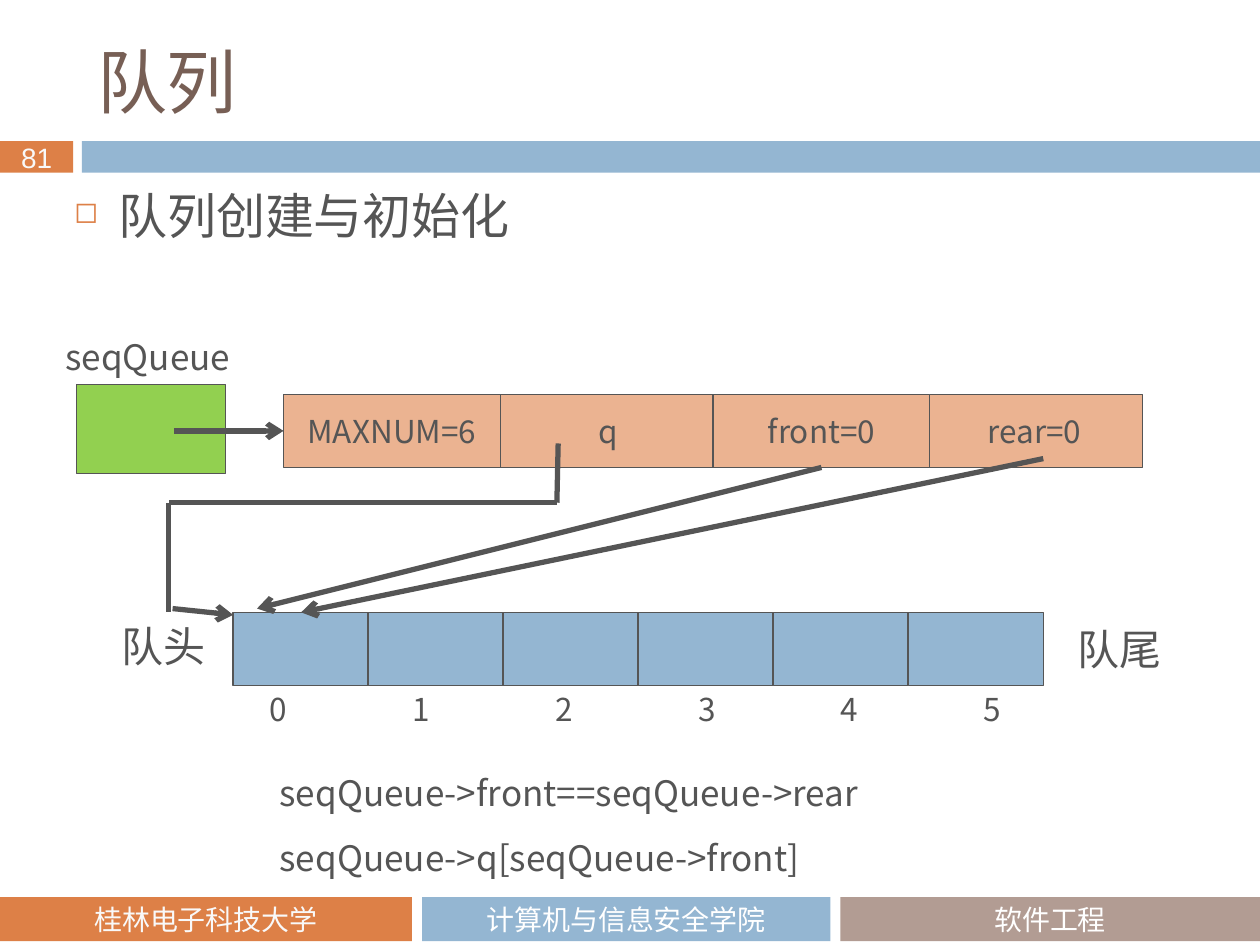
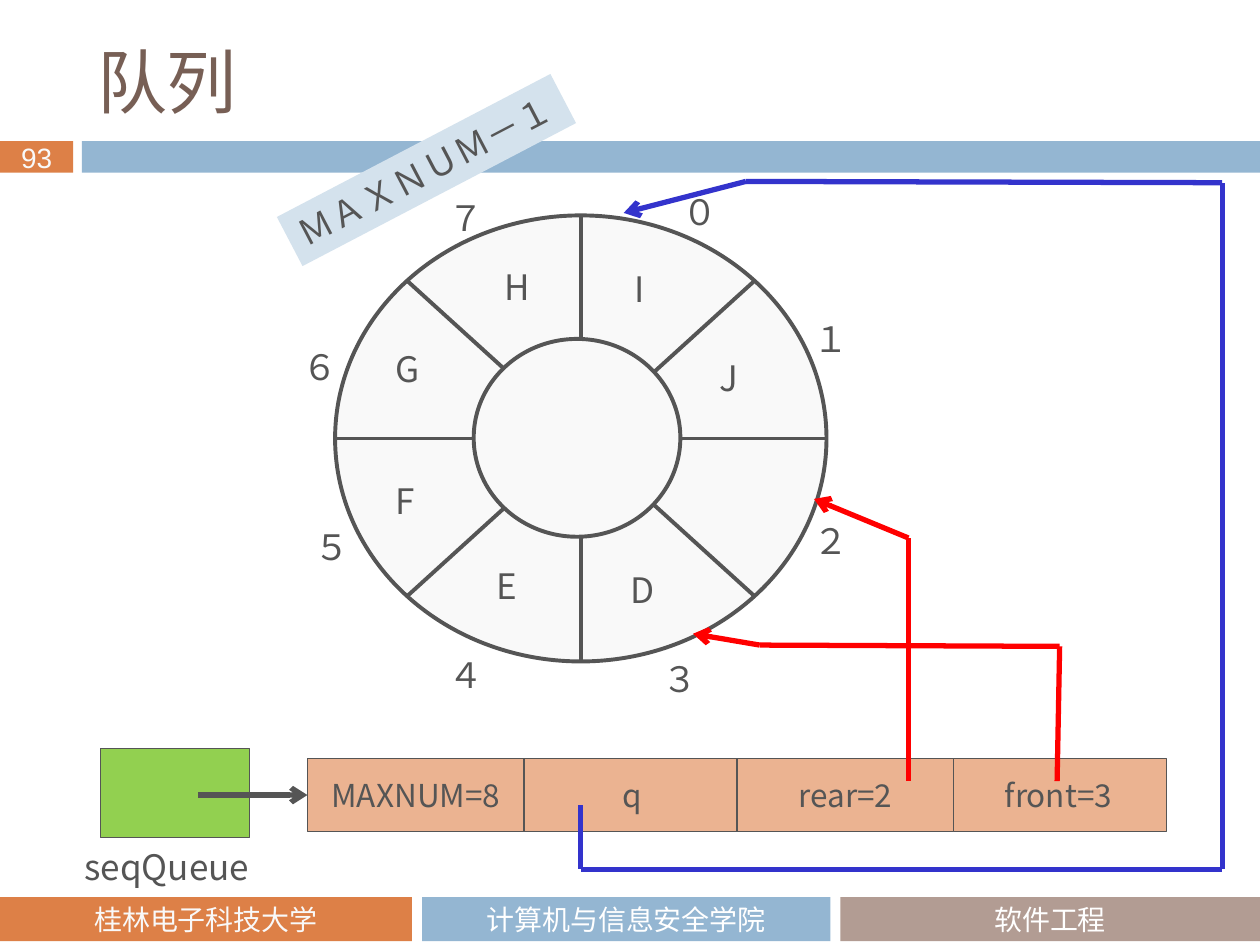
import itertools
import math

import pptx
import pptx.dml.color
import pptx.enum.shapes
import pptx.enum.text
import pptx.oxml.ns
import pptx.util
from lxml import etree

Inches = pptx.util.Inches
Pt = pptx.util.Pt
qn = pptx.oxml.ns.qn
RGB = pptx.dml.color.RGBColor.from_string
SHAPE = pptx.enum.shapes.MSO_SHAPE
ALIGN = pptx.enum.text.PP_ALIGN
ANCHOR = pptx.enum.text.MSO_ANCHOR

COLORS = {
    "text": "555555", "title": "775F55", "orange": "DD8047", "blue": "94B6D2",
    "brown": "B29C93", "white": "FFFFFF", "off_white": "F9F9F9", "peach": "EBB391",
    "green": "92D050", "pale_blue": "D4E2ED", "base_path": "3333CC", "index_path": "FF0000",
}
CJK = "Noto Sans CJK SC"


def add_text(slide, text, at=None, holder=None, kind=None, fill=None, border=None, size=18,
             color="text", font=CJK, east_asian=CJK, align=ALIGN.LEFT, anchor=ANCHOR.TOP,
             wrap=True, spaced=False, bullet=None):
    """Put text, one paragraph per line, in a holder, a preset shape or a text box."""
    if holder is None:
        place = [Inches(value) for value in at]
        if kind is None:
            holder = slide.shapes.add_textbox(*place)
        else:
            holder = slide.shapes.add_shape(kind, *place)
            holder.shadow.inherit = False
            holder.fill.solid()
            holder.fill.fore_color.rgb = RGB(COLORS[fill])
            if border:
                holder.line.color.rgb = RGB(COLORS["text"])
                holder.line.width = Pt(border)
            else:
                holder.line.fill.background()
    frame = holder.text_frame
    frame.text = text
    frame.word_wrap = wrap
    frame.vertical_anchor = anchor
    for number, paragraph in enumerate(frame.paragraphs):
        paragraph.alignment = align
        if spaced:
            paragraph.line_spacing = Pt(30)
            if number:
                paragraph.space_before = Pt(7)
        if bullet:
            properties = paragraph._p.get_or_add_pPr()
            properties.set("marL", str(Inches(0.35)))
            properties.set("indent", str(Inches(-0.35)))
            bullet_color = etree.SubElement(properties, qn("a:buClr"))
            etree.SubElement(bullet_color, qn("a:srgbClr"), val=COLORS["orange"])
            etree.SubElement(properties, qn("a:buSzPct"), val="60000")
            etree.SubElement(properties, qn("a:buChar"), char=bullet)
        for run in paragraph.runs:
            run.font.size = Pt(size)
            run.font.name = font
            run.font.color.rgb = RGB(COLORS[color])
            etree.SubElement(run._r.get_or_add_rPr(), qn("a:ea"), typeface=east_asian)
    return holder


def add_path(slide, points, color="text", width=3, arrow=True):
    """Join the points with straight connectors and return the last one."""
    for start, end in itertools.pairwise(points):
        segment = slide.shapes.add_connector(
            pptx.enum.shapes.MSO_CONNECTOR.STRAIGHT,
            *[Inches(value) for value in (*start, *end)])
        segment.line.color.rgb = RGB(COLORS[color])
        segment.line.width = Pt(width)
        etree.SubElement(segment._element.spPr, qn("a:effectLst"))
    if arrow:
        etree.SubElement(segment.line._get_or_add_ln(), qn("a:tailEnd"), type="arrow")
    return segment


deck = pptx.Presentation()
deck.slide_width, deck.slide_height = Inches(10), Inches(7.5)
centred = {"align": ALIGN.CENTER, "anchor": ANCHOR.MIDDLE}
footers = [
    (0, 3.27, "orange", "off_white", "桂林电子科技大学"),
    (3.35, 3.24, "blue", "white", "计算机与信息安全学院"),
    (6.67, 3.33, "brown", "white", "软件工程"),
]

# Parts both slides share: title, bands, footers and the queue record
RECORD_WIDTH, RECORD_HEIGHT = 1.72, 0.58
pages = [
    ("81", (2.25, 3.13), (0.42, 2.53), ["MAXNUM=6", "q", "front=0", "rear=0"]),
    ("93", (2.44, 6.02), (0.57, 6.58), ["MAXNUM=8", "q", "rear=2", "front=3"]),
]
slides, records = [], []
for page_number, (left, top), pointer_name_at, field_names in pages:
    slide = deck.slides.add_slide(deck.slide_layouts[5])
    slides.append(slide)
    title = slide.shapes.title
    title.left, title.top, title.width, title.height = [
        Inches(value) for value in (0.67, 0.25, 8.92, 0.78)]
    add_text(slide, "队列", holder=title, size=40, color="title", font="Noto Sans CJK JP",
             east_asian="Noto Sans CJK JP", anchor=ANCHOR.MIDDLE)
    title.text_frame.auto_size = pptx.enum.text.MSO_AUTO_SIZE.NONE

    add_text(slide, page_number, (0, 1.12, 0.58, 0.25), kind=SHAPE.RECTANGLE, fill="orange",
             size=16, color="off_white", font="Arial", wrap=False, **centred)
    add_text(slide, "", (0.65, 1.12, 9.35, 0.25), kind=SHAPE.RECTANGLE, fill="blue")
    for footer_left, footer_width, fill, color, name in footers:
        add_text(slide, name, (footer_left, 7.12, footer_width, 0.35), kind=SHAPE.RECTANGLE,
                 fill=fill, size=16, color=color, font="Calibri", **centred)

    record = {}
    for column in (0, 1, 3, 2):
        field_left = left + (0, 1.72, 3.41, 5.1)[column]
        record[field_names[column]] = add_text(
            slide, field_names[column], (field_left, top, RECORD_WIDTH, RECORD_HEIGHT),
            kind=SHAPE.RECTANGLE, fill="peach", border=0.75, **centred)
    records.append(record)
    add_text(slide, "", (left - 1.64, top - 0.08, 1.18, 0.71), kind=SHAPE.RECTANGLE,
             fill="green", border=0.75)
    add_text(slide, "seqQueue", (*pointer_name_at, 1.57, 0.52), size=20, spaced=True)
    middle = top + RECORD_HEIGHT / 2
    pointer = add_path(slide, [(left - 0.87, middle), (left, middle)])
    pointer.end_connect(record[field_names[0]], 1)

array_slide, ring_slide = slides

# Queue creation: the array and the pointers into it
add_text(array_slide, "队列创建与初始化", (0.49, 1.47, 8.92, 0.69), size=28, spaced=True,
         bullet="◻")
add_text(array_slide, "队头", (0.87, 4.86, 0.94, 0.52), size=24, spaced=True)
add_text(array_slide, "队尾", (8.45, 4.88, 1.24, 0.52), size=24, spaced=True)
cell_width = 6.43 / 6
for index in range(6):
    add_text(array_slide, "", (1.85 + index * cell_width, 4.86, cell_width, 0.58),
             kind=SHAPE.RECTANGLE, fill="blue", border=0.75)
    add_text(array_slide, str(index), (2.04 + index * 1.134, 5.43, 0.36, 0.4), wrap=False)
add_path(array_slide, [(4.43, 3.52), (4.42, 3.99), (1.34, 3.99), (1.34, 4.86)], arrow=False)
add_path(array_slide, [(1.37, 4.83), (1.85, 4.88)])
front_pointer = add_path(array_slide, [(6.52, 3.71), (2.04, 4.83)])
front_pointer.begin_connect(records[0]["front=0"], 2)
add_path(array_slide, [(8.28, 3.64), (2.39, 4.86)])
add_text(array_slide, "seqQueue->front==seqQueue->rear\nseqQueue->q[seqQueue->front]",
         (2.12, 5.99, 5.9, 1.17), size=20, spaced=True)

# Circular queue: ring, spokes, indexes and stored items
center_x, center_y, radius_x, radius_y = 4.61, 3.48, 1.95, 1.77
add_text(ring_slide, "", (center_x - radius_x, center_y - radius_y, 2 * radius_x, 2 * radius_y),
         kind=SHAPE.OVAL, fill="off_white", border=2.25)
for eighth in range(4):
    angle = eighth * math.pi / 4
    reach_x, reach_y = radius_x * math.cos(angle), radius_y * math.sin(angle)
    add_path(ring_slide, [(center_x - reach_x, center_y - reach_y),
                          (center_x + reach_x, center_y + reach_y)], width=2.25, arrow=False)
add_text(ring_slide, "", (3.76, 2.69, 1.64, 1.57), kind=SHAPE.OVAL, fill="off_white",
         border=2.25)

last_index = add_text(ring_slide, "ＭＡＸＮＵＭ－１", (2.16, 1.13, 2.45, 0.44),
                      kind=SHAPE.RECTANGLE, fill="pale_blue", size=20, wrap=False)
last_index.rotation = 332.4
index_places = [(5.32, 1.46), (6.36, 2.47), (6.36, 4.07), (5.16, 5.17),
                (3.46, 5.14), (2.4, 4.12), (2.3, 2.69), (3.46, 1.51)]
for index, place in zip("０１２３４５６７", index_places):
    add_text(ring_slide, index, (*place, 0.48, 0.44), size=20, wrap=False)
item_places = [(4.91, 4.46), (3.84, 4.43), (3.04, 3.76), (3.04, 2.71),
               (3.91, 2.06), (4.94, 2.07), (5.61, 2.78)]
for item, place in zip("DEFGHIJ", item_places):
    add_text(ring_slide, item, (*place, 0.4, 0.44), size=20)

add_path(ring_slide, [(4.61, 6.39), (4.61, 6.9), (9.7, 6.9), (9.7, 1.45), (5.92, 1.44),
                      (4.95, 1.69)], color="base_path")
add_path(ring_slide, [(8.39, 6.2), (8.41, 5.13), (6.03, 5.12), (5.5, 5.03)],
         color="index_path")
add_path(ring_slide, [(7.21, 6.2), (7.21, 4.27), (6.46, 3.96)], color="index_path")

deck.save("out.pptx")
